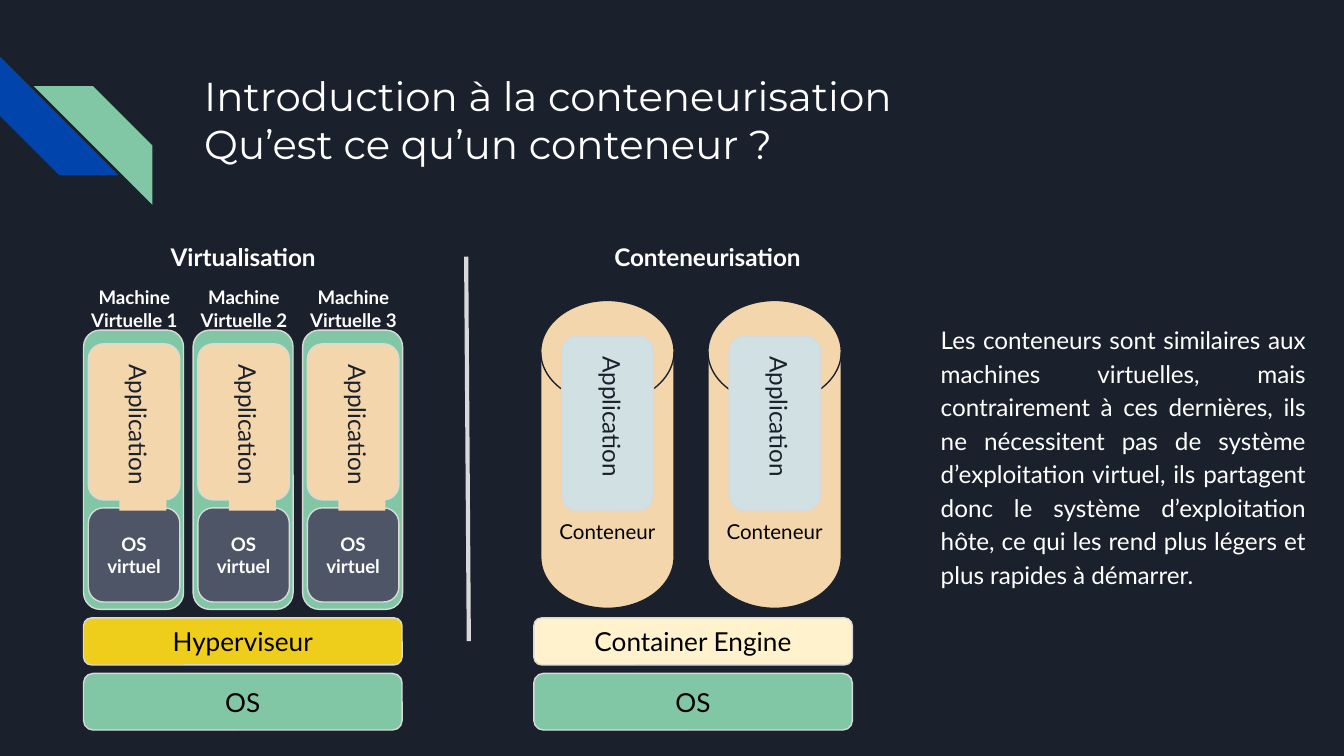
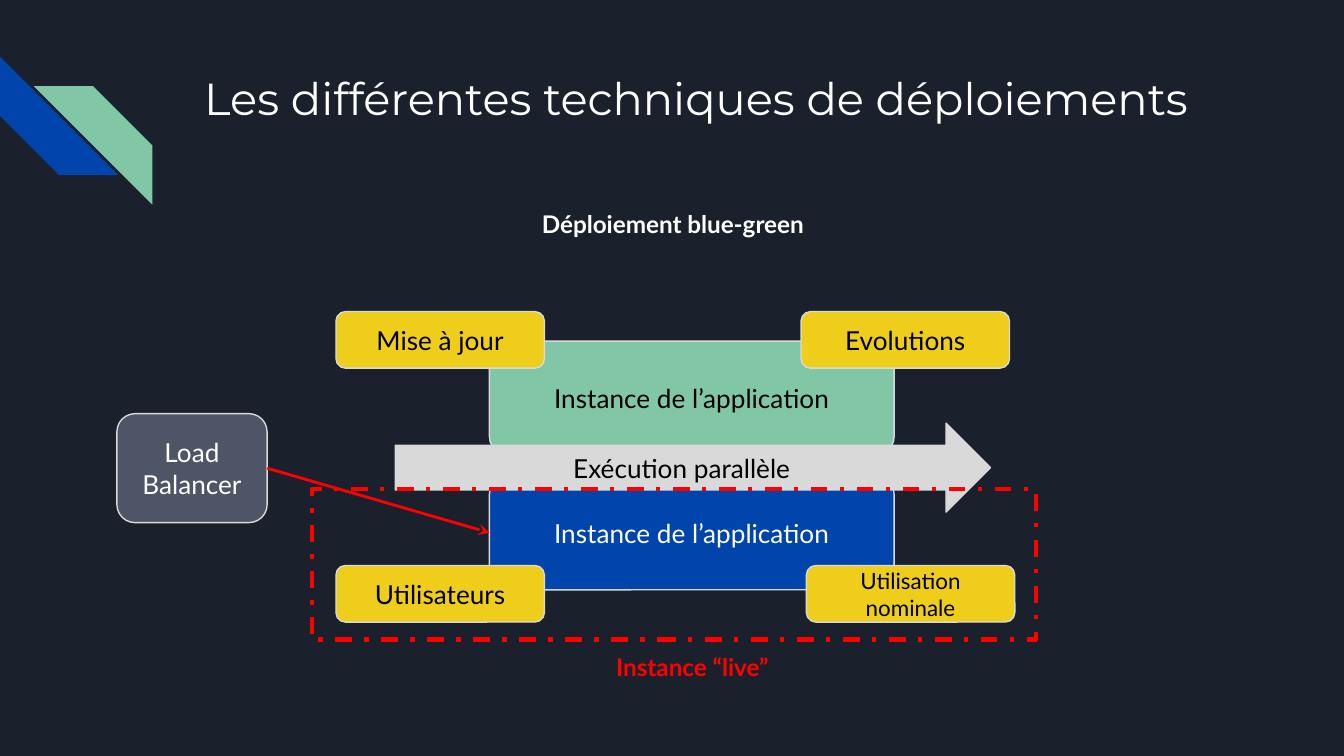
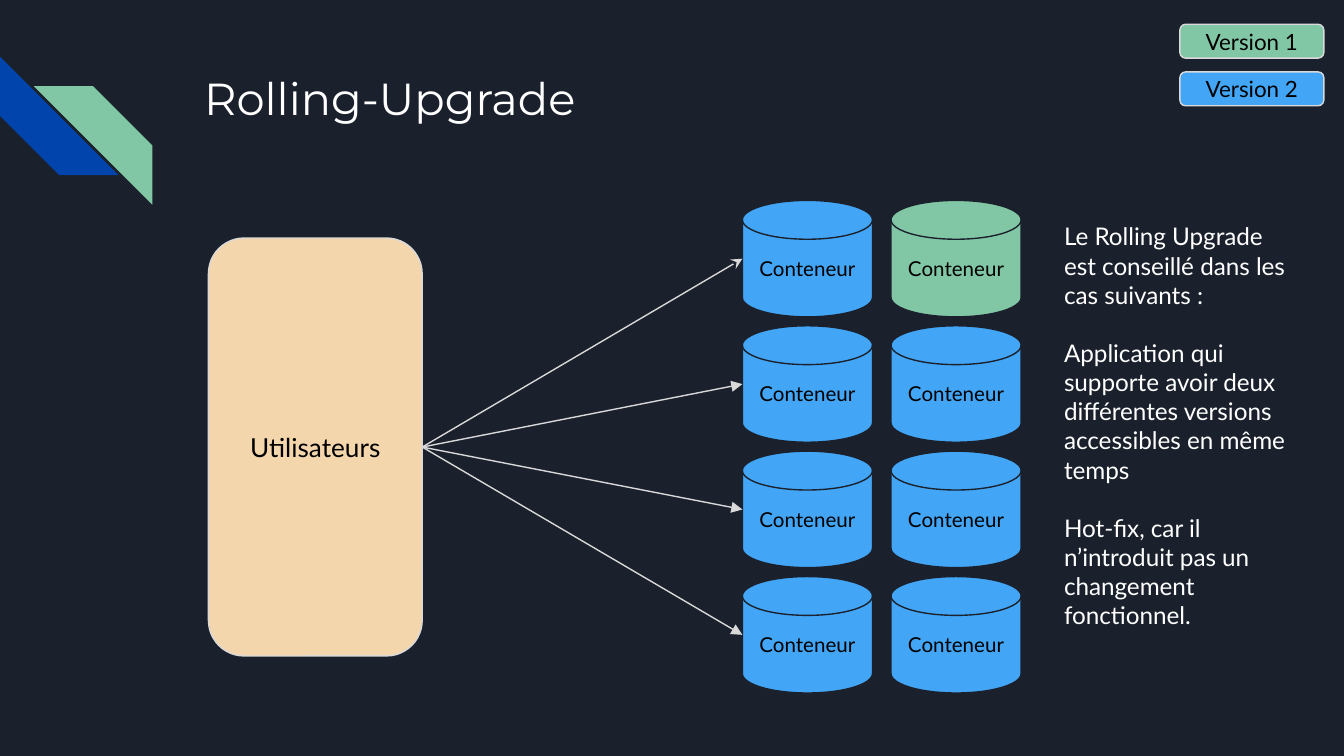
from dataclasses import dataclass, replace
from typing import Optional

from lxml.etree import SubElement
from pptx import Presentation
from pptx.dml.color import RGBColor
from pptx.enum.dml import MSO_LINE
from pptx.enum.shapes import MSO_CONNECTOR, MSO_SHAPE as Shape
from pptx.enum.text import MSO_ANCHOR as Anchor, PP_ALIGN as Align
from pptx.oxml.ns import qn
from pptx.util import Cm, Pt

NAVY, WHITE, BLACK = "1B212C", "FFFFFF", "000000"
BLUE, GREEN, SKY = "0145AC", "82C7A5", "42A5F5"
YELLOW, CREAM, SAND, ICE = "EECE1A", "FFF2CC", "F4D6AD", "D0E0E3"
SLATE, GREY, RED = "4E5567", "D9D9D9", "FF0000"

INSET = Cm(0.25)
ROUND, DISK = Shape.ROUNDED_RECTANGLE, Shape.FLOWCHART_MAGNETIC_DISK
LEFT_SIDE, RIGHT_SIDE = 1, 3


@dataclass(frozen=True)
class Style:
    size: float = 14
    color: str = BLACK
    bold: bool = False
    font: str = "Lato"
    align: Align = Align.CENTER
    anchor: Anchor = Anchor.MIDDLE
    spacing: Optional[float] = None
    gap: float = 0


@dataclass(frozen=True)
class Box:
    """A shape, or a text box when kind is None; lengths are in centimetres."""
    left: float
    top: float
    width: float
    height: float
    text: str = ""
    style: Style = Style()
    kind: Optional[Shape] = ROUND
    fill: Optional[str] = None
    line: Optional[str] = GREY
    weight: float = 0.75
    dash: Optional[MSO_LINE] = None
    rotation: float = 0


NODE = Style()
NODE_WHITE = Style(color=WHITE)
SMALL_NODE = Style(size=12)
DISK_LABEL = Style(size=11)
HEADING = Style(size=13, color=WHITE, bold=True, anchor=Anchor.TOP)
VM_LABEL = replace(HEADING, size=10)
OS_LABEL = replace(VM_LABEL, anchor=Anchor.MIDDLE)
BODY = Style(size=13, color=WHITE, align=Align.LEFT, anchor=Anchor.TOP)
APP_LABEL = replace(BODY, color=NAVY)
TITLE = replace(BODY, size=24, font="Montserrat")


def rgb(value: str) -> RGBColor:
    return RGBColor.from_string(value)


def write(tf, text: str, style: Style) -> None:
    """Fill a text frame, one paragraph for each line of text."""
    frame_format = {
        "word_wrap": True, "vertical_anchor": style.anchor,
        "margin_left": INSET, "margin_right": INSET,
        "margin_top": INSET, "margin_bottom": INSET,
    }
    for name, value in frame_format.items():
        setattr(tf, name, value)
    font_format = {"name": style.font, "size": Pt(style.size), "bold": style.bold}
    for i, line in enumerate(text.split("\n")):
        p = tf.add_paragraph() if i else tf.paragraphs[0]
        p.alignment = style.align
        if style.spacing:
            p.line_spacing = style.spacing
        if i and style.gap:
            p.space_before = Pt(style.gap)
        r = p.add_run()
        r.text = line
        for name, value in font_format.items():
            setattr(r.font, name, value)
        r.font.color.rgb = rgb(style.color)


def draw(parent, box: Box):
    frame = [Cm(v) for v in (box.left, box.top, box.width, box.height)]
    if box.kind is None:
        sp = parent.shapes.add_textbox(*frame)
    else:
        sp = parent.shapes.add_shape(box.kind, *frame)
        sp.shadow.inherit = False
        if box.line:
            sp.line.color.rgb = rgb(box.line)
            sp.line.width = Pt(box.weight)
            if box.dash:
                sp.line.dash_style = box.dash
        else:
            sp.line.fill.background()
    if box.fill:
        sp.fill.solid()
        sp.fill.fore_color.rgb = rgb(box.fill)
    else:
        sp.fill.background()
    sp.rotation = box.rotation
    if box.text:
        write(sp.text_frame, box.text, box.style)
    return sp


def draw_text(slide, left: float, top: float, width: float, height: float,
              text: str, style: Style):
    return draw(slide, Box(left, top, width, height, text, style, kind=None))


def draw_line(slide, start: tuple[float, float], end: tuple[float, float],
              color: str = GREY, weight: float = 0.75, head: str = ""):
    """Draw a straight connector, with an arrowhead at its end if one is named."""
    cxn = slide.shapes.add_connector(
        MSO_CONNECTOR.STRAIGHT, *(Cm(v) for v in (*start, *end)))
    cxn.line.color.rgb = rgb(color)
    cxn.line.width = Pt(weight)
    if head:
        SubElement(cxn.line._get_or_add_ln(), qn("a:tailEnd"), type=head)
    SubElement(cxn._element.spPr, qn("a:effectLst"))
    return cxn


def new_slide(prs, title: str, title_size: float = 24):
    """Add a slide with the shared background, corner stripes and title."""
    slide = prs.slides.add_slide(prs.slide_layouts[6])
    slide.background.fill.solid()
    slide.background.fill.fore_color.rgb = rgb(NAVY)
    stripes = slide.shapes.add_group_shape()
    for left, top, color, rotation in ((0, 1.07, BLUE, 270), (0.64, 1.63, GREEN, 90)):
        draw(stripes, Box(left, top, 2.24, 2.24, kind=Shape.DIAGONAL_STRIPE,
                          fill=color, line=None, rotation=rotation))
    draw_text(slide, 3.61, 1.09, 19.56, 2.54, title, replace(TITLE, size=title_size))
    return slide


def draw_app(slide, left: float, top: float, height: float, fill: str) -> None:
    """Draw an application card with its label turned to read downwards."""
    draw(slide, Box(left, top, 1.73, height, fill=fill))
    draw(slide, Box(left - 0.48, top + 1.2, 3.02, 0.89, "Application", APP_LABEL,
                    kind=None, fill=fill, rotation=90))


def draw_disk(slide, left: float, top: float, width: float, height: float,
              fill: str, anchor: Anchor = Anchor.MIDDLE):
    return draw(slide, Box(left, top, width, height, "Conteneur",
                           replace(DISK_LABEL, anchor=anchor), DISK, fill, NAVY))


def build_container_intro(prs) -> None:
    slide = new_slide(
        prs, "Introduction à la conteneurisation\nQu’est ce qu’un conteneur ?", 21.6)
    draw_text(
        slide, 17.53, 5.82, 7.39, 5.54,
        "Les conteneurs sont similaires aux machines virtuelles, mais contrairement "
        "à ces dernières, ils ne nécessitent pas de système d’exploitation virtuel, "
        "ils partagent donc le système d’exploitation hôte, ce qui les rend plus "
        "légers et plus rapides à démarrer.",
        replace(BODY, align=Align.JUSTIFY, spacing=1.15))

    draw_text(slide, 2.64, 4.32, 3.91, 1.19, "Virtualisation", HEADING)
    draw_text(slide, 11.3, 4.32, 4.14, 1.19, "Conteneurisation", HEADING)
    draw_line(slide, (8.81, 4.85), (8.86, 12.12), weight=2.25)
    for left, engine, color in ((1.58, "Hyperviseur", YELLOW),
                                (10.09, "Container Engine", CREAM)):
        draw(slide, Box(left, 11.68, 6.02, 0.89, engine, NODE, fill=color))
        draw(slide, Box(left, 12.73, 6.02, 1.07, "OS", NODE, fill=GREEN))

    for i in range(3):
        left = 1.58 + 2.07 * i
        draw(slide, Box(left, 6.24, 1.89, 5.28, fill=GREEN))
        draw_text(slide, left - 0.14, 5.16, 2.2, 1.19,
                  f"Machine\nVirtuelle {i + 1}", VM_LABEL)
        draw(slide, Box(left + 0.09, 9.6, 1.73, 1.78, "OS\nvirtuel", OS_LABEL,
                        fill=SLATE))
        draw_app(slide, left + 0.09, 6.5, 2.95, SAND)

    for i in range(2):
        left = 10.22 + 3.16 * i
        draw_disk(slide, left, 5.68, 2.52, 5.82, SAND, Anchor.BOTTOM)
        draw_app(slide, left + 0.4, 6.35, 3.3, ICE)


def build_blue_green(prs) -> None:
    slide = new_slide(prs, "Les différentes techniques de déploiements")
    draw_text(slide, 9.91, 3.63, 5.61, 1.07, "Déploiement blue-green",
              replace(HEADING, spacing=1.15))

    app = "Instance de l’application"
    draw(slide, Box(9.25, 6.45, 7.65, 2.16, app, NODE, fill=GREEN))
    live = draw(slide, Box(9.25, 8.99, 7.65, 2.16, app, NODE_WHITE, fill=BLUE))
    draw(slide, Box(7.47, 8, 11.25, 1.68, "Exécution parallèle", NODE,
                    Shape.RIGHT_ARROW, GREY))

    tags = (
        (6.35, 5.89, "Mise à jour", NODE),
        (15.14, 5.89, "Evolutions", NODE),
        (6.35, 10.69, "Utilisateurs", NODE),
        (15.24, 10.69, "Utilisation\nnominale", SMALL_NODE),
    )
    for left, top, text, style in tags:
        draw(slide, Box(left, top, 3.94, 1.07, text, style, fill=YELLOW))

    balancer = draw(slide, Box(2.21, 7.82, 2.84, 2.06, "Load\nBalancer", NODE_WHITE,
                               fill=SLATE))
    route = draw_line(slide, (5.05, 8.85), (9.25, 10.07), RED, 1.5, "stealth")
    route.begin_connect(balancer, RIGHT_SIDE)
    route.end_connect(live, LEFT_SIDE)
    draw(slide, Box(5.89, 9.25, 13.69, 2.84, kind=Shape.RECTANGLE, line=RED,
                    weight=2.25, dash=MSO_LINE.DASH_DOT))
    draw_text(slide, 10.67, 12.07, 4.83, 1.04, "Instance “live”",
              replace(HEADING, color=RED))


def build_rolling_upgrade(prs) -> None:
    slide = new_slide(prs, "Rolling-Upgrade")
    for i, color in enumerate((GREEN, SKY)):
        draw(slide, Box(22.3, 0.46 + 0.9 * i, 2.72, 0.64, f"Version {i + 1}",
                        SMALL_NODE, fill=color))
    users = draw(slide, Box(3.94, 4.5, 4.04, 7.9, "Utilisateurs", NODE, fill=SAND))

    left, width, height = 14.03, 2.46, 2.2
    for row in range(4):
        top = 3.79 + 2.37 * row
        draw_disk(slide, left, top, width, height, SKY)
        draw_disk(slide, left + 2.81, top, width, height, SKY if row else GREEN)
        arrow = draw_line(slide, (7.98, 8.45), (left, top + height / 2),
                          head="triangle" if row else "stealth")
        arrow.begin_connect(users, RIGHT_SIDE)

    draw_text(
        slide, 19.86, 3.94, 4.72, 9.35,
        "Le Rolling Upgrade est conseillé dans les cas suivants :\n"
        "Application qui supporte avoir deux différentes versions accessibles en "
        "même temps\n"
        "Hot-fix, car il n’introduit pas un changement fonctionnel.",
        replace(BODY, gap=15.6))


def main() -> None:
    prs = Presentation()
    prs.slide_width, prs.slide_height = Cm(25.4), Cm(14.29)
    build_container_intro(prs)
    build_blue_green(prs)
    build_rolling_upgrade(prs)
    prs.save("out.pptx")


if __name__ == "__main__":
    main()
